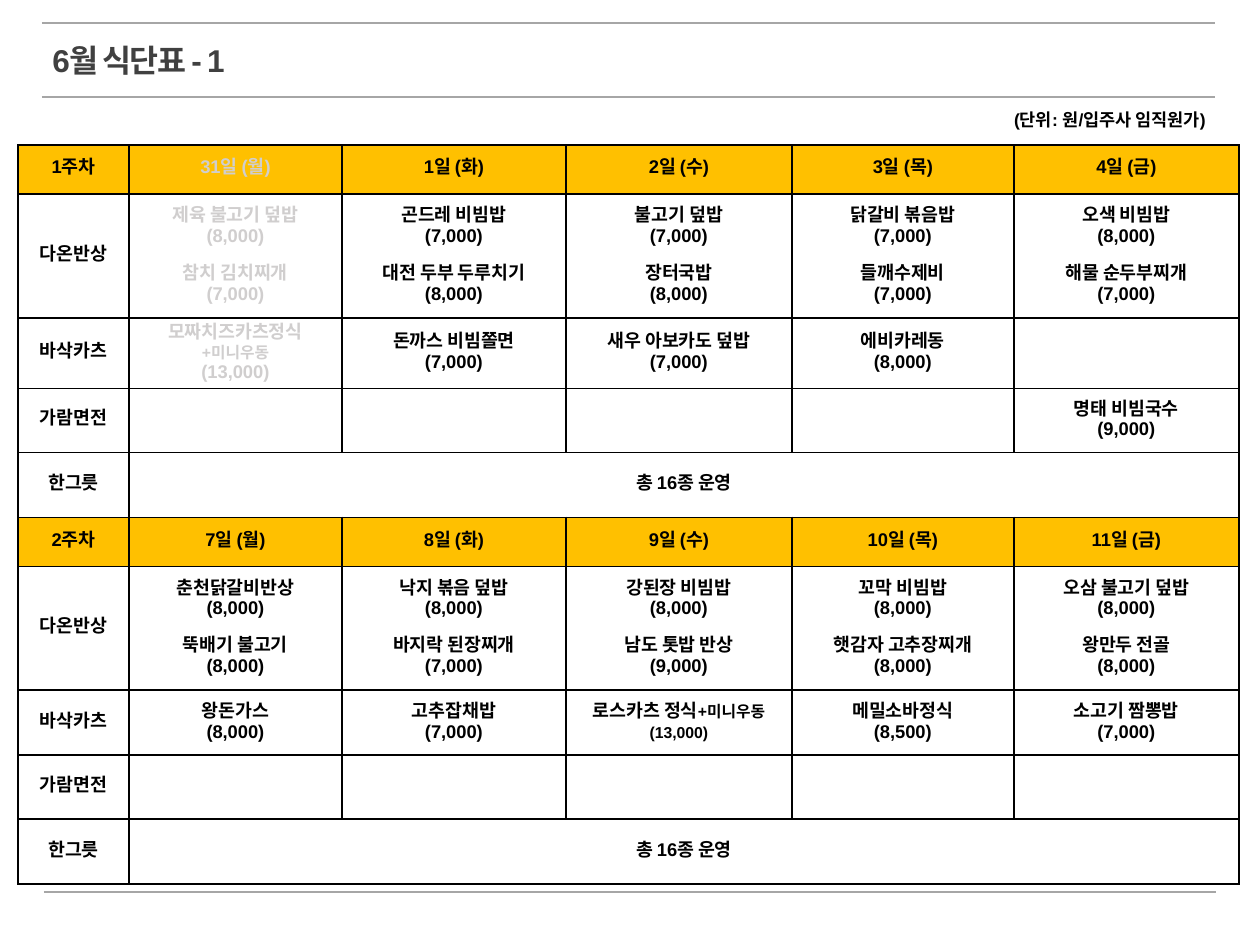
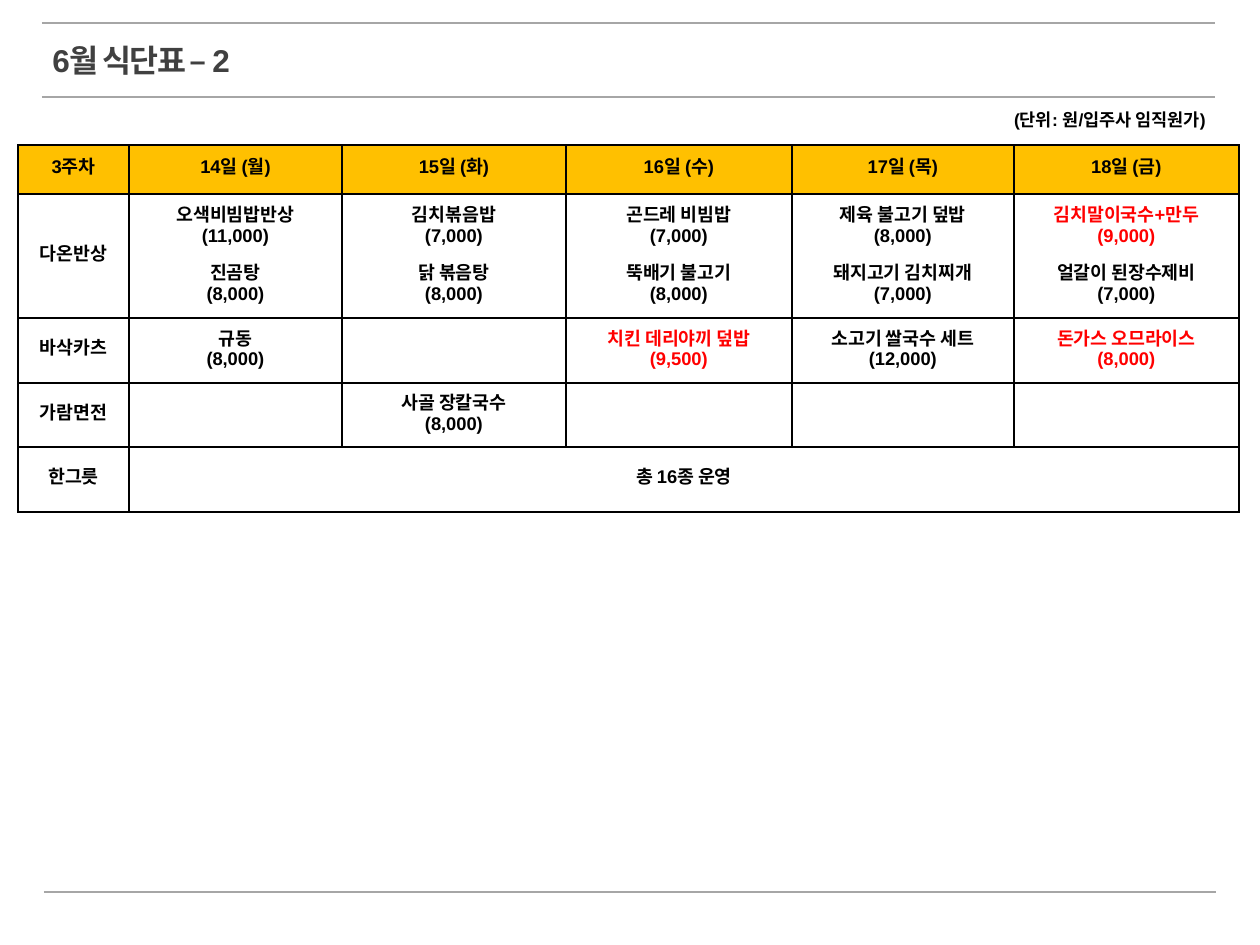
from collections import namedtuple
from lxml.etree import SubElement
from pptx import Presentation
from pptx.dml.color import RGBColor
from pptx.enum.shapes import MSO_CONNECTOR
from pptx.enum.text import MSO_ANCHOR, PP_ALIGN
from pptx.oxml.ns import qn
from pptx.util import Pt

EMU_PER_PIXEL = 914400 / 126
FONT = "Arial"
BLACK, WHITE, RED = "000000", "FFFFFF", "FF0000"
AMBER, MUTED, RULE, TITLE = "FFC000", "D0CECE", "A6A6A6", "404040"
BODY_SIZE, SMALL_SIZE, LINE_PITCH = 10.5, 9, 11

COLUMNS = [111, 213, 224, 226, 222, 225]
ROWS = [49, 124, 65, 64, 65]
TALL_KATSU_ROW = 70
TABLE_LEFT, TABLE_TOP = 18, 145
RULES = [(42, 23, 1215), (42, 97, 1215), (44, 892, 1216)]

RICE, KATSU, NOODLE, SPOON = "다온반상", "바삭카츠", "가람면전", "한그릇"
SPOON_TEXT = "총 16종 운영"
UNIT_NOTE = "(단위: 원/입주사 임직원가)"

Span = namedtuple("Span", "text color size", defaults=(BLACK, BODY_SIZE))
Week = namedtuple("Week", "days rice katsu noodle")


def px(value):
    return round(value * EMU_PER_PIXEL)


def rgb(value):
    return RGBColor.from_string(value)


def dish(text, color=BLACK):
    name, price = text.rsplit(" ", 1)
    return [[Span(name, color)], [Span(f"({price})", color)]]


def pair(first, second, color=BLACK):
    return [dish(first, color), dish(second, color)]


def label(text, color=BLACK):
    return [[[Span(text, color)]]]


def single(text, color=BLACK):
    return [dish(text, color)]


CHEESE_KATSU = [[
    [Span("모짜치즈카츠정식", MUTED)],
    [Span("+미니우동", MUTED, SMALL_SIZE)],
    [Span("(13,000)", MUTED)],
]]
LOIN_KATSU = [[
    [Span("로스카츠 정식"), Span("+미니우동", BLACK, SMALL_SIZE)],
    [Span("(13,000)", BLACK, SMALL_SIZE)],
]]

WEEK_1 = Week(
    [label("1주차"), label("31일 (월)", MUTED), label("1일 (화)"),
     label("2일 (수)"), label("3일 (목)"), label("4일 (금)")],
    [pair("제육 불고기 덮밥 8,000", "참치 김치찌개 7,000", MUTED),
     pair("곤드레 비빔밥 7,000", "대전 두부 두루치기 8,000"),
     pair("불고기 덮밥 7,000", "장터국밥 8,000"),
     pair("닭갈비 볶음밥 7,000", "들깨수제비 7,000"),
     pair("오색 비빔밥 8,000", "해물 순두부찌개 7,000")],
    [CHEESE_KATSU, single("돈까스 비빔쫄면 7,000"),
     single("새우 아보카도 덮밥 7,000"), single("에비카레동 8,000"), []],
    [[], [], [], [], single("명태 비빔국수 9,000")],
)
WEEK_2 = Week(
    [label("2주차"), label("7일 (월)"), label("8일 (화)"),
     label("9일 (수)"), label("10일 (목)"), label("11일 (금)")],
    [pair("춘천닭갈비반상 8,000", "뚝배기 불고기 8,000"),
     pair("낙지 볶음 덮밥 8,000", "바지락 된장찌개 7,000"),
     pair("강된장 비빔밥 8,000", "남도 톳밥 반상 9,000"),
     pair("꼬막 비빔밥 8,000", "햇감자 고추장찌개 8,000"),
     pair("오삼 불고기 덮밥 8,000", "왕만두 전골 8,000")],
    [single("왕돈가스 8,000"), single("고추잡채밥 7,000"), LOIN_KATSU,
     single("메밀소바정식 8,500"), single("소고기 짬뽕밥 7,000")],
    [[]] * 5,
)
WEEK_3 = Week(
    [label("3주차"), label("14일 (월)"), label("15일 (화)"),
     label("16일 (수)"), label("17일 (목)"), label("18일 (금)")],
    [pair("오색비빔밥반상 11,000", "진곰탕 8,000"),
     pair("김치볶음밥 7,000", "닭 볶음탕 8,000"),
     pair("곤드레 비빔밥 7,000", "뚝배기 불고기 8,000"),
     pair("제육 불고기 덮밥 8,000", "돼지고기 김치찌개 7,000"),
     [dish("김치말이국수+만두 9,000", RED), dish("얼갈이 된장수제비 7,000")]],
    [single("규동 8,000"), [], single("치킨 데리야끼 덮밥 9,500", RED),
     single("소고기 쌀국수 세트 12,000"), single("돈가스 오므라이스 8,000", RED)],
    [[], single("사골 장칼국수 8,000"), [], [], []],
)


def format_run(run, size, color):
    run.font.name = FONT
    run.font.size = Pt(size)
    run.font.bold = True
    run.font.color.rgb = rgb(color)


def add_rule(page, left, top, right):
    rule = page.shapes.add_connector(
        MSO_CONNECTOR.STRAIGHT, px(left), px(top), px(right), px(top))
    rule.line.color.rgb = rgb(RULE)
    rule.line.width = Pt(1)
    SubElement(rule._element.spPr, qn("a:effectLst"))


def add_text(page, text, area, size, color, align):
    box = page.shapes.add_textbox(*map(px, area))
    box.text_frame.word_wrap = True
    para = box.text_frame.paragraphs[0]
    para.text = text
    para.alignment = align
    run = para.runs[0]
    format_run(run, size, color)
    return run


def add_borders(cell):
    properties = cell._tc.get_or_add_tcPr()
    for side in ("lnL", "lnR", "lnT", "lnB"):
        line = SubElement(properties, qn(f"a:{side}"), w=str(Pt(1)))
        fill = SubElement(line, qn("a:solidFill"))
        SubElement(fill, qn("a:srgbClr"), val=BLACK)


def write_dishes(cell, dishes):
    frame = cell.text_frame
    lines = [(line, number > 0 and line is lines[0])
             for number, lines in enumerate(dishes) for line in lines]
    for index, (line, starts_later_dish) in enumerate(lines):
        para = frame.paragraphs[0] if index == 0 else frame.add_paragraph()
        para.alignment = PP_ALIGN.CENTER
        para.line_spacing = Pt(LINE_PITCH)
        if starts_later_dish:
            para.space_before = Pt(LINE_PITCH)
        for span in line:
            run = para.add_run()
            run.text = span.text
            format_run(run, span.size, span.color)


def week_rows(week):
    return [
        week.days,
        [label(RICE)] + week.rice,
        [label(KATSU)] + week.katsu,
        [label(NOODLE)] + week.noodle,
        [label(SPOON), label(SPOON_TEXT)] + [[]] * 4,
    ]


def week_heights(week):
    heights = list(ROWS)
    if CHEESE_KATSU in week.katsu:
        heights[2] = TALL_KATSU_ROW
    return heights


def add_menu(page, weeks):
    rows = [row for week in weeks for row in week_rows(week)]
    heights = [height for week in weeks for height in week_heights(week)]
    table = page.shapes.add_table(
        len(rows), len(COLUMNS), px(TABLE_LEFT), px(TABLE_TOP),
        px(sum(COLUMNS)), px(sum(heights))).table
    for column, width in zip(table.columns, COLUMNS):
        column.width = px(width)
    for number, (row, height) in enumerate(zip(rows, heights)):
        table.rows[number].height = px(height)
        place = number % len(ROWS)
        for cell, dishes in zip(table.rows[number].cells, row):
            add_borders(cell)
            cell.fill.solid()
            cell.fill.fore_color.rgb = rgb(AMBER if place == 0 else WHITE)
            cell.vertical_anchor = MSO_ANCHOR.MIDDLE
            write_dishes(cell, dishes)
        if place == len(ROWS) - 1:
            table.cell(number, 1).merge(table.cell(number, len(COLUMNS) - 1))


def add_page(deck, title, weeks):
    page = deck.slides.add_slide(deck.slide_layouts[6])
    for rule in RULES:
        add_rule(page, *rule)
    heading = add_text(page, title, (40, 35, 660, 50), 18, TITLE, PP_ALIGN.LEFT)
    heading._r.get_or_add_rPr().set("spc", "-100")
    add_menu(page, weeks)
    add_text(page, UNIT_NOTE, (882, 103, 336, 34), 10, BLACK, PP_ALIGN.RIGHT)


def main():
    deck = Presentation()
    deck.slide_width, deck.slide_height = px(1260), px(945)
    add_page(deck, "6월 식단표 - 1", [WEEK_1, WEEK_2])
    add_page(deck, "6월 식단표 – 2", [WEEK_3])
    deck.save("out.pptx")


main()
